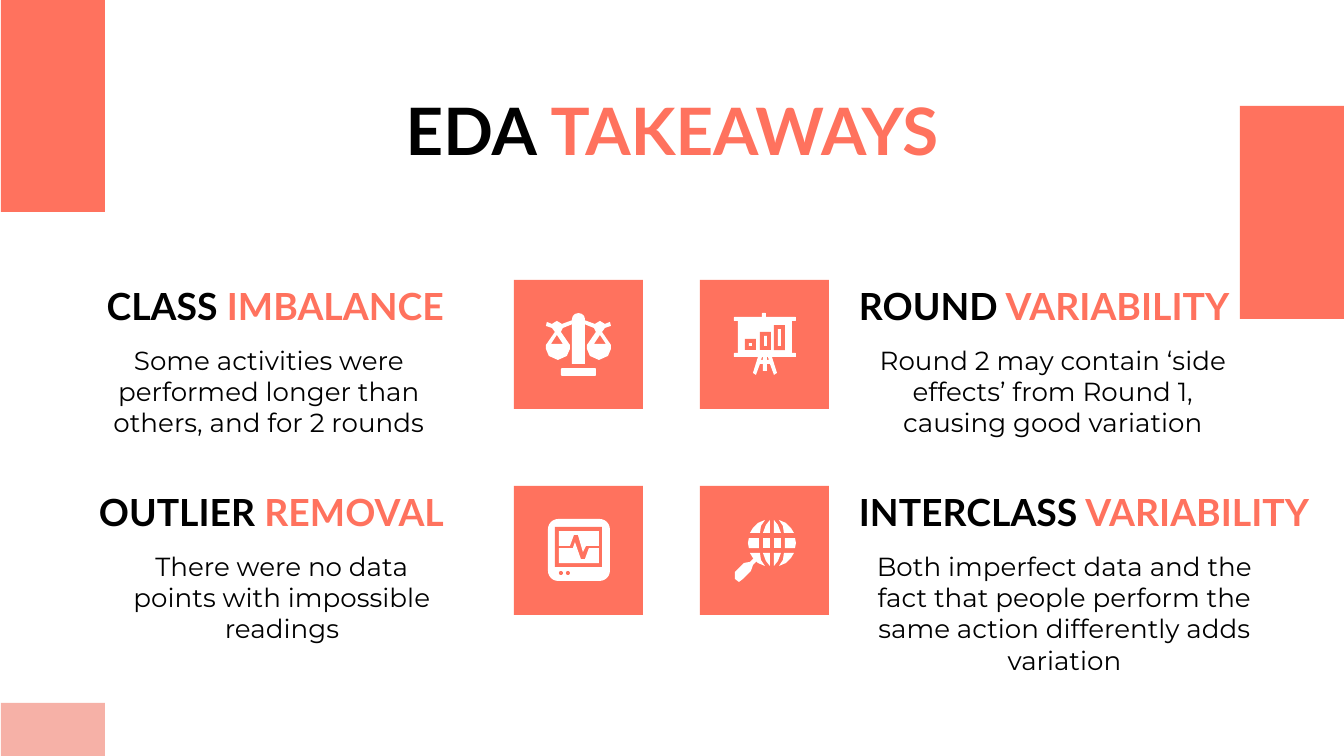
"""Build the EDA takeaways slide."""
from pptx import Presentation
from pptx.dml.color import RGBColor
from pptx.enum.shapes import MSO_SHAPE
from pptx.enum.text import MSO_ANCHOR, PP_ALIGN
from pptx.util import Pt

RECT, ROUND, OVAL = MSO_SHAPE.RECTANGLE, MSO_SHAPE.ROUNDED_RECTANGLE, MSO_SHAPE.OVAL
LEFT, MID, RIGHT = PP_ALIGN.LEFT, PP_ALIGN.CENTER, PP_ALIGN.RIGHT
TOP, CENTER, BOTTOM = MSO_ANCHOR.TOP, MSO_ANCHOR.MIDDLE, MSO_ANCHOR.BOTTOM
CORAL, PINK, WHITE, BLACK = "FF725E", "F6B1A7", "FFFFFF", "000000"
PX = 6804
INSET = 13
ROW = 206
HEAD = {"name": "Lato", "size": Pt(20), "bold": True}
BODY = {"name": "Montserrat", "size": Pt(14), "bold": False}


def paint(shape, color):
    shape.shadow.inherit = False
    shape.fill.solid()
    shape.fill.fore_color.rgb = RGBColor.from_string(color)
    shape.line.fill.background()


def write(box, runs, style, align, anchor):
    frame = box.text_frame
    frame.word_wrap = True
    frame.vertical_anchor = anchor
    for side in ("left", "top", "right", "bottom"):
        setattr(frame, f"margin_{side}", INSET * PX)
    para = frame.paragraphs[0]
    para.alignment = align
    for text, color in runs:
        run = para.add_run()
        run.text = text
        run.font.color.rgb = RGBColor.from_string(color)
        for key, value in style.items():
            setattr(run.font, key, value)


deck = Presentation()
deck.slide_width, deck.slide_height = 1344 * PX, 756 * PX
slide = deck.slides.add_slide(deck.slide_layouts[5])
shapes = slide.shapes

title = shapes.title
for key, value in {"left": 88, "top": 96, "width": 1168, "height": 66}.items():
    setattr(title, key, value * PX)
write(title, [("EDA ", BLACK), ("TAKEAWAYS", CORAL)],
      {**HEAD, "size": Pt(35)}, MID, CENTER)

cards = [
    (0, RIGHT, 80, 377, "CLASS", " IMBALANCE", 80, 378,
     "Some activities were performed longer than others, and for 2 rounds"),
    (1, RIGHT, 57, 400, "OUTLIER", " REMOVAL", 106, 352,
     "There were no data points with impossible readings"),
    (0, LEFT, 846, 474, "ROUND", " VARIABILITY", 864, 378,
     "Round 2 may contain ‘side effects’ from Round 1, causing good variation"),
    (1, LEFT, 846, 484, "INTERCLASS", " VARIABILITY", 854, 421,
     "Both imperfect data and the fact that people perform the same action "
     "differently adds variation"),
]
for row, align, x, wide, first, last, left, span, text in cards:
    y = 275 + row * ROW
    head = shapes.add_textbox(x * PX, y * PX, wide * PX, 66 * PX)
    write(head, [(first, BLACK), (last, CORAL)], HEAD, align, BOTTOM)
    body = shapes.add_textbox(left * PX, (y + 56) * PX, span * PX, 83 * PX)
    write(body, [(text, BLACK)], BODY, MID, TOP)

tiles = [(RECT, x, 280 + row * ROW, 129, 129, CORAL)
         for x in (514, 700) for row in (0, 1)]
corners = [
    (RECT, 1, -1, 104, 213, CORAL),
    (RECT, 1240, 106, 104, 213, CORAL),
    (RECT, 1, 703, 104, 53, PINK),
]
scales = [
    (OVAL, 572, 313, 13, 12, WHITE),
    (RECT, 572, 319, 13, 45, WHITE),
    (ROUND, 561, 368, 35, 8, WHITE),
]
screen = [
    (ROUND, 548, 519, 62, 62, WHITE),
    (RECT, 555, 527, 47, 40, CORAL),
    (OVAL, 559, 571, 4, 4, CORAL),
    (OVAL, 566, 571, 4, 4, CORAL),
]
board = [
    (ROUND, 762, 313, 4, 7, WHITE),
    (ROUND, 734, 317, 62, 4, WHITE),
    (RECT, 738, 320, 54, 34, WHITE),
    (ROUND, 734, 353, 62, 4, WHITE),
]
for x, y in ((745, 339), (760, 332), (774, 325)):
    board += [(RECT, x, y, 11, 350 - y, CORAL),
              (RECT, x + 4, y + 4, 3, 342 - y, WHITE)]
for kind, x, y, wide, high, color in corners + tiles + scales + screen + board:
    paint(shapes.add_shape(kind, x * PX, y * PX, wide * PX, high * PX), color)

pan = [
    [(573, 320), (562, 324), (557, 321), (552, 324), (547, 322), (546, 326),
     (552, 328), (555, 332), (546, 345), (546, 349), (549, 356), (558, 360),
     (567, 356), (570, 349), (570, 345), (561, 332), (563, 328), (573, 324)],
    [(557, 335), (563, 344), (551, 344)],
]
twin = [[(1157 - x, y) for x, y in loop] for loop in pan]
upper = [[(559, 531), (559, 546), (570, 546), (574, 535), (578, 535),
          (583, 552), (586, 546), (599, 546), (599, 531)]]
lower = [[(575, 542), (573, 548), (559, 548), (559, 563), (599, 563),
          (599, 548), (589, 548), (585, 559), (581, 559)]]
legs = [
    [(758, 357), (753, 373), (756, 375), (760, 364), (763, 364), (763, 371),
     (767, 371), (767, 364), (770, 364), (774, 375), (777, 373), (772, 357)],
    [(761, 360), (762, 357), (763, 357), (763, 360)],
    [(767, 360), (767, 357), (768, 357), (769, 360)],
]
grip = [[(754, 558), (750, 562), (744, 563), (735, 572), (735, 579), (739, 582),
         (743, 579), (751, 571), (753, 565), (757, 561)]]
caps = [
    [(774, 520), (774, 533), (781, 533), (778, 525)],
    [(779, 520), (783, 526), (784, 533), (794, 533), (791, 528), (786, 523)],
]
belt = [
    [(774, 538), (774, 548), (781, 548), (781, 538)],
    [(785, 538), (785, 548), (795, 548), (796, 543), (795, 538)],
]
east = caps + belt + [[(x, 1086 - y) for x, y in loop] for loop in caps]
west = [[(1544 - x, y) for x, y in loop] for loop in east]
globe = [[loop] for loop in east + west]
for loops in [pan, twin, upper, lower, legs, grip] + globe:
    pen = shapes.build_freeform(*loops[0][0], scale=PX)
    pen.add_line_segments(loops[0][1:])
    for loop in loops[1:]:
        pen.move_to(*loop[0])
        pen.add_line_segments(loop[1:])
    paint(pen.convert_to_shape(), WHITE)

deck.save("out.pptx")
